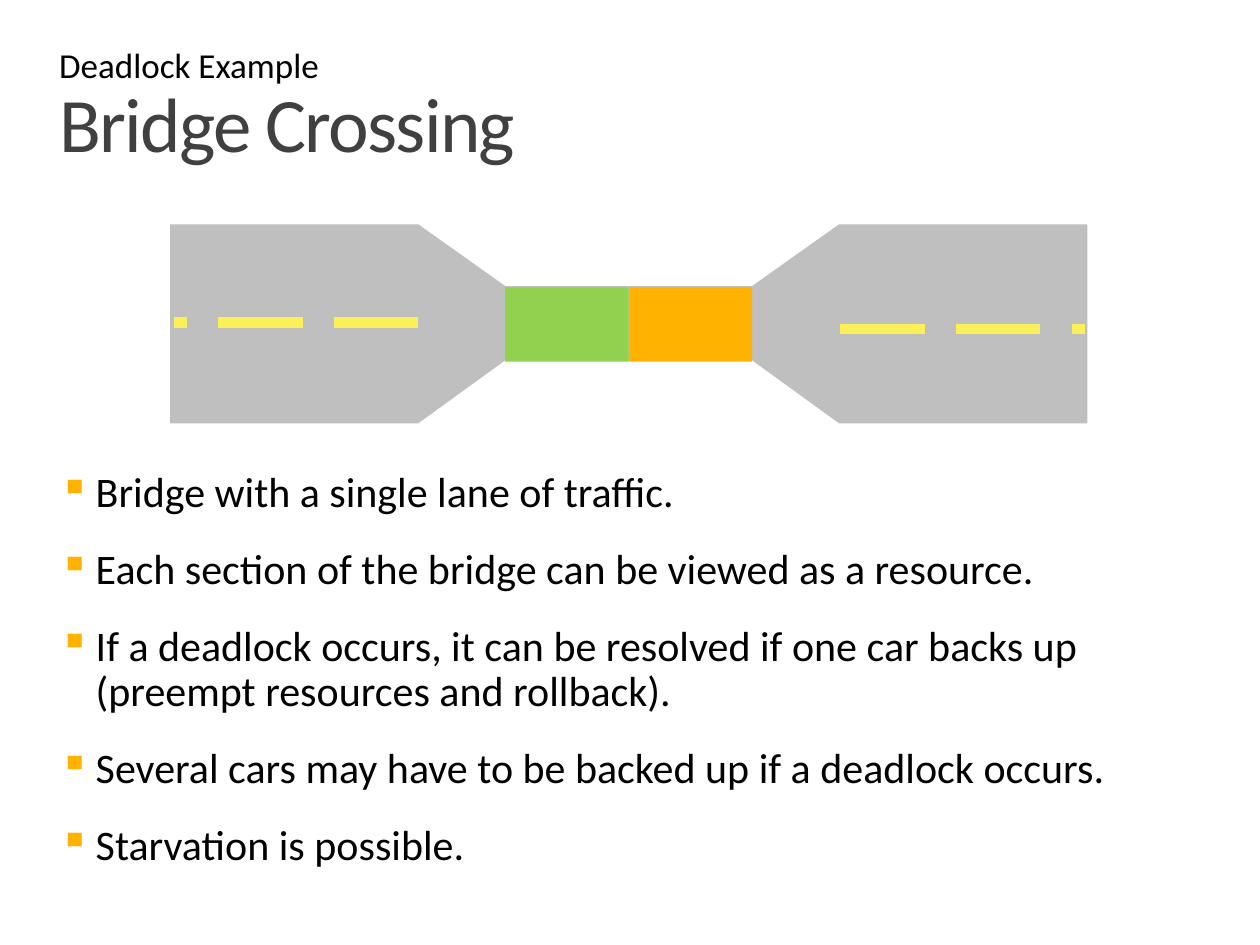
from dataclasses import dataclass

from lxml.etree import SubElement
from pptx import Presentation
from pptx.dml.color import RGBColor
from pptx.enum.dml import MSO_LINE
from pptx.enum.shapes import MSO_CONNECTOR, MSO_SHAPE
from pptx.enum.text import MSO_ANCHOR
from pptx.oxml.ns import qn
from pptx.util import Inches, Pt


@dataclass(frozen=True)
class Theme:
    font: str = "Calibri"
    title: str = "404040"
    text: str = "000000"
    bullet: str = "FFB300"
    road: str = "BFBFBF"
    marking: str = "FCF059"
    green: str = "92D050"
    orange: str = "FFB300"
    title_size: int = 44
    body_size: int = 24
    kicker_size: int = 20


THEME = Theme()
LEFT, WIDTH = 0.47, 9.06
CENTER = 4.99  # axis of the bridge
SECTION_W, SECTION_H = 0.98, 0.59
ROAD_TOP, ROAD_BOTTOM = 1.78, 3.36
BRIDGE_TOP, BRIDGE_BOTTOM = 2.27, 2.86

POINTS = [
    "Bridge with a single lane of traffic.",
    "Each section of the bridge can be viewed as a resource.",
    "If a deadlock occurs, it can be resolved if one car backs up "
    "(preempt resources and rollback).",
    "Several cars may have to be backed up if a deadlock occurs.",
    "Starvation is possible.",
]


def rgb(color):
    return RGBColor.from_string(color)


def add_box(s, top, height, inset_top=0, anchor=MSO_ANCHOR.TOP):
    box = s.shapes.add_textbox(Inches(LEFT), Inches(top), Inches(WIDTH), Inches(height))
    tf = box.text_frame
    tf.word_wrap = True
    tf.margin_left = tf.margin_right = tf.margin_bottom = 0
    tf.margin_top = Inches(inset_top)
    tf.vertical_anchor = anchor
    return tf


def add_run(p, text, size, color):
    r = p.add_run()
    r.text = text
    r.font.name = THEME.font
    r.font.size = Pt(size)
    r.font.color.rgb = rgb(color)
    return r


def set_bullet(p):
    pPr = p._p.get_or_add_pPr()
    pPr.set("marL", str(Inches(0.29)))
    pPr.set("indent", str(-Inches(0.29)))
    color = SubElement(pPr, qn("a:buClr"))
    SubElement(color, qn("a:srgbClr"), val=THEME.bullet)
    SubElement(pPr, qn("a:buChar"), char="▪")


def add_bullets(s, points):
    tf = add_box(s, 3.74, 3.32)
    for i, point in enumerate(points):
        p = tf.add_paragraph() if i else tf.paragraphs[0]
        set_bullet(p)
        p.line_spacing = 0.9
        if i:
            p.space_before = Pt(18)
        add_run(p, point, THEME.body_size, THEME.text)


def paint(sp, color):
    sp.shadow.inherit = False
    sp.fill.solid()
    sp.fill.fore_color.rgb = rgb(color)
    sp.line.fill.background()


def add_section(s, left, top, color):
    sp = s.shapes.add_shape(MSO_SHAPE.RECTANGLE, Inches(left), Inches(top),
                            Inches(SECTION_W), Inches(SECTION_H))
    paint(sp, color)


def add_road(s, side):
    """Road narrowing to the bridge; side is -1 for left, 1 for right."""
    outer, bend, inner = (CENTER + side * d for d in (3.64, 1.67, SECTION_W))
    points = [(outer, ROAD_TOP), (bend, ROAD_TOP), (inner, BRIDGE_TOP),
              (inner, BRIDGE_BOTTOM), (bend, ROAD_BOTTOM), (outer, ROAD_BOTTOM)]
    start, *rest = [(Inches(x), Inches(y)) for x, y in points]
    builder = s.shapes.build_freeform(*start)
    builder.add_line_segments(rest, close=True)
    paint(builder.convert_to_shape(), THEME.road)


def add_marking(s, start_x, end_x, y):
    line = s.shapes.add_connector(MSO_CONNECTOR.STRAIGHT, Inches(start_x), Inches(y),
                                  Inches(end_x), Inches(y))
    line.line.color.rgb = rgb(THEME.marking)
    line.line.width = Pt(6)
    line.line.dash_style = MSO_LINE.LONG_DASH
    SubElement(line._element.spPr, qn("a:effectLst"))


def main():
    prs = Presentation()
    prs.slide_width, prs.slide_height = Inches(10), Inches(7.5)
    s = prs.slides.add_slide(prs.slide_layouts[6])

    # Headings
    p = add_box(s, 0.7, 0.79, inset_top=0.04).paragraphs[0]
    p.line_spacing = 0.8
    r = add_run(p, "Bridge Crossing", THEME.title_size, THEME.title)
    r.font._element.set("spc", "-100")
    p = add_box(s, 0.31, 0.37, anchor=MSO_ANCHOR.BOTTOM).paragraphs[0]
    add_run(p, "Deadlock Example", THEME.kicker_size, THEME.text)

    # Explanation
    add_bullets(s, POINTS)

    # Bridge bed and roads
    for left in (CENTER - SECTION_W, CENTER):
        add_section(s, left, BRIDGE_TOP, THEME.road)
    for side in (-1, 1):
        add_road(s, side)
    add_marking(s, 3.32, 1.38, 2.56)
    add_marking(s, 6.67, 8.61, 2.61)

    # Bridge sections
    add_section(s, CENTER, 2.28, THEME.orange)
    add_section(s, CENTER - SECTION_W, 2.28, THEME.green)

    prs.save("out.pptx")


if __name__ == "__main__":
    main()
